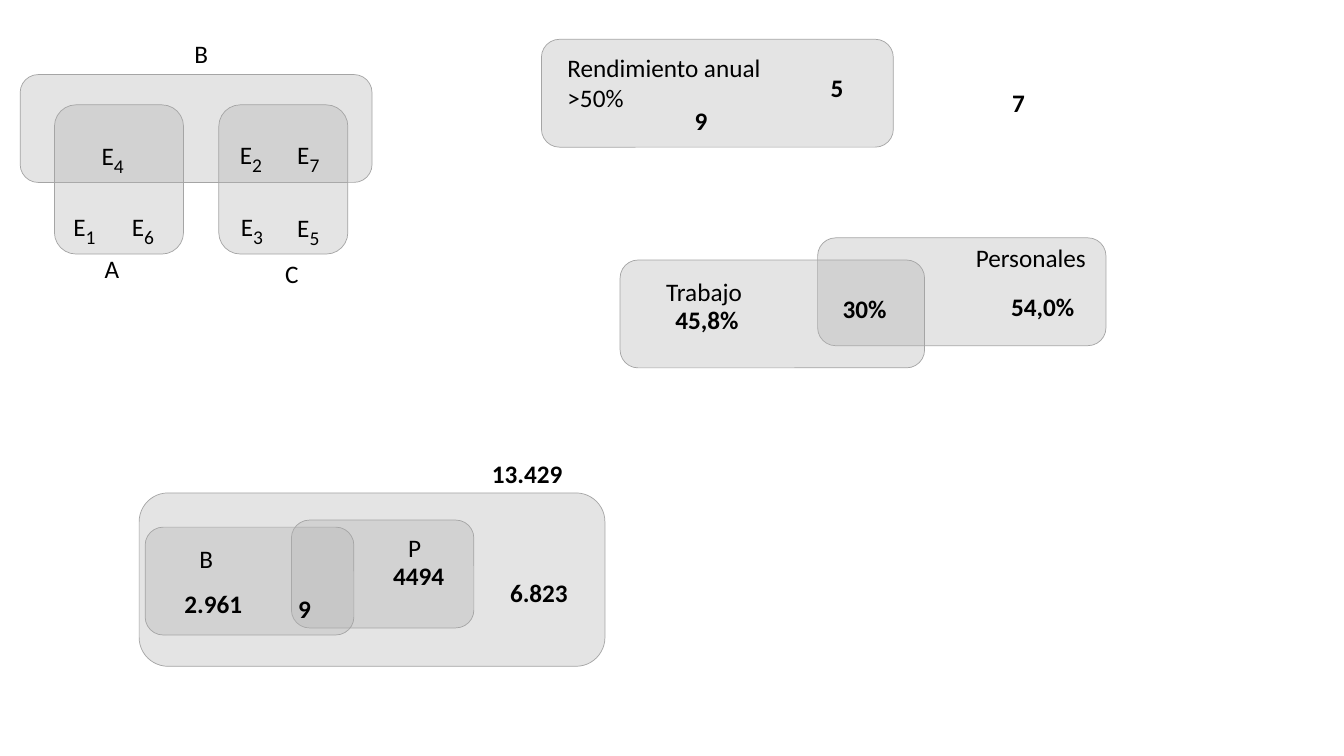
from lxml import etree
from pptx import Presentation
from pptx.dml.color import RGBColor
from pptx.enum.shapes import MSO_SHAPE
from pptx.enum.text import MSO_AUTO_SIZE
from pptx.oxml.ns import qn
from pptx.util import Inches, Pt

ROUNDED = MSO_SHAPE.ROUNDED_RECTANGLE
GROW = MSO_AUTO_SIZE.SHAPE_TO_FIT_TEXT
SET_FILL = RGBColor(0xB2, 0xB2, 0xB2)
SET_LINE = RGBColor(0xA5, 0xA5, 0xA5)
BLACK = RGBColor(0, 0, 0)
LINE_HEIGHT = 0.4


def add_set(group, left, top, width, height):
    shape = group.shapes.add_shape(ROUNDED, Inches(left), Inches(top), Inches(width), Inches(height))
    shape.shadow.inherit = False
    shape.fill.solid()
    shape.fill.fore_color.rgb = SET_FILL
    color = shape.fill._xPr.find(qn("a:solidFill"))[0]
    etree.SubElement(color, qn("a:alpha"), val="34000")
    shape.line.color.rgb = SET_LINE
    shape.line.width = Pt(0.5)


def add_label(group, text, left, top, width, bold=False, subscript="", height=LINE_HEIGHT):
    box = group.shapes.add_textbox(Inches(left), Inches(top), Inches(width), Inches(height))
    frame = box.text_frame
    frame.word_wrap = True
    frame.auto_size = GROW
    paragraph = frame.paragraphs[0]
    for content, size in ((text, 18), (subscript, 24)):
        if content:
            run = paragraph.add_run()
            run.text = content
            font_format = {"name": "Calibri", "size": Pt(size), "bold": bold}
            for attribute, value in font_format.items():
                setattr(run.font, attribute, value)
            run.font.color.rgb = BLACK
    if subscript:
        run.font._element.set("baseline", "-25000")


presentation = Presentation()
presentation.slide_width = Inches(13.33)
presentation.slide_height = Inches(7.5)
slide = presentation.slides.add_slide(presentation.slide_layouts[6])

events = slide.shapes.add_group_shape()
add_set(events, 0.2, 0.74, 3.49, 1.07)
for left in (0.54, 2.17):
    add_set(events, left, 1.04, 1.28, 1.48)
for number, left, top in (
    ("1", 0.63, 1.96), ("4", 0.91, 1.26), ("6", 1.21, 1.96), ("2", 2.28, 1.25),
    ("7", 2.85, 1.25), ("3", 2.29, 1.96), ("5", 2.85, 1.97),
):
    add_label(events, "E", left, top, 0.56, subscript=number)
for name, left, top in (("A", 0.94, 2.46), ("C", 2.73, 2.51), ("B", 1.83, 0.33)):
    add_label(events, name, left, top, 0.56)

diagrams = [
    (
        [(8.11, 2.36, 2.86, 1.07), (6.15, 2.58, 3.02, 1.07)],
        [
            ("45,8%", 6.6, 2.97, 1.05, True),
            ("Trabajo", 6.51, 2.69, 2.2),
            ("54,0%", 9.93, 2.84, 1.04, True),
            ("30%", 8.26, 2.86, 0.74, True),
            ("Personales", 9.58, 2.36, 2.2),
        ],
    ),
    (
        [(1.38, 4.89, 4.62, 1.72), (2.89, 5.16, 1.81, 1.07), (1.44, 5.23, 2.07, 1.07)],
        [
            ("9", 2.86, 5.84, 0.56, True),
            ("B", 1.88, 5.34, 0.58),
            ("6.823", 4.96, 5.68, 0.85, True),
            ("4494", 3.8, 5.51, 0.96, True),
            ("2.961", 1.73, 5.79, 0.95, True),
            ("13.429", 4.78, 4.5, 1.19, True),
            ("P", 3.95, 5.23, 0.41),
        ],
    ),
    (
        [(5.37, 0.39, 3.49, 1.07)],
        [
            ("9", 6.79, 1, 0.56, True),
            ("Rendimiento anual >50%", 5.53, 0.47, 2.2, False, "", 0.71),
            ("7", 9.94, 0.82, 0.56, True),
            ("5", 8.14, 0.67, 0.56, True),
        ],
    ),
]
for sets, labels in diagrams:
    diagram = slide.shapes.add_group_shape()
    for bounds in sets:
        add_set(diagram, *bounds)
    for label in labels:
        add_label(diagram, *label)

presentation.save("out.pptx")
